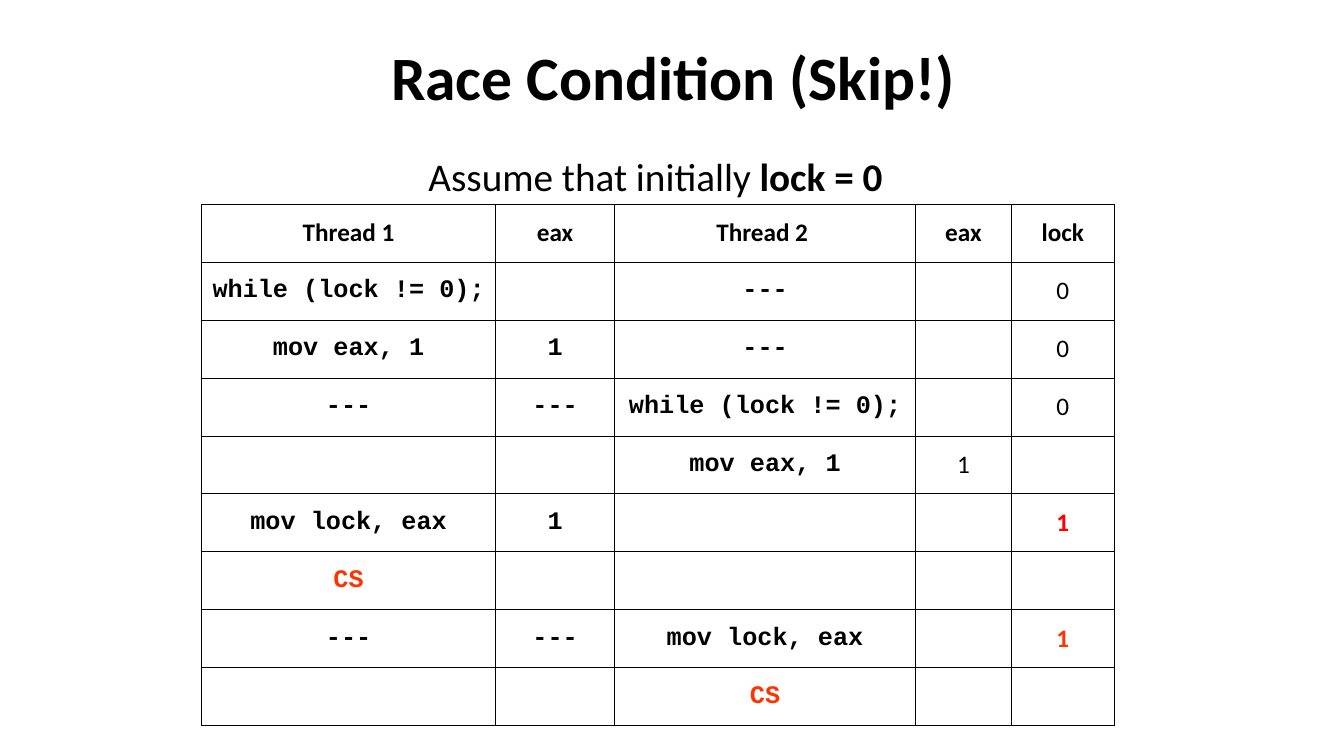
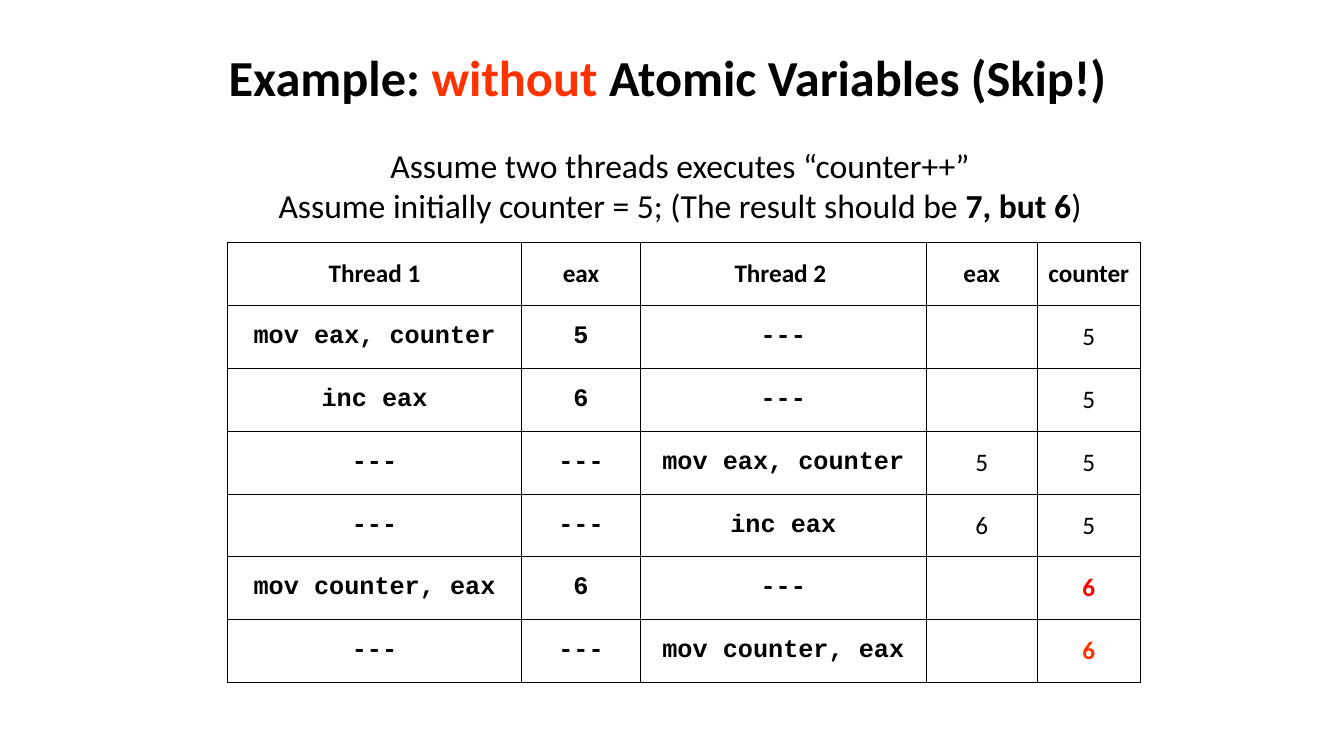
"""Build two slides that trace thread interleavings step by step in tables."""
import dataclasses

import lxml.etree
import pptx
import pptx.dml.color
import pptx.enum.text
import pptx.oxml.ns
import pptx.util

Pt = pptx.util.Pt
CENTER = pptx.enum.text.PP_ALIGN.CENTER
LEFT = pptx.enum.text.PP_ALIGN.LEFT
MIDDLE = pptx.enum.text.MSO_ANCHOR.MIDDLE


@dataclasses.dataclass(frozen=True)
class Theme:
    ink: str = "000000"
    red: str = "FF0000"
    orange: str = "FF3300"
    body: str = "Calibri"
    code: str = "Courier New"
    cell_size: int = 18
    border: float = 0.75


T = Theme()


def write(p, runs, size, font=T.body, bold=False, align=CENTER):
    """Fill a paragraph from (text, overrides) runs."""
    p.alignment = align
    p.font.name, p.font.size, p.font.bold = font, Pt(size), bold
    p.font.color.rgb = pptx.dml.color.RGBColor.from_string(T.ink)
    for text, style in runs:
        r = p.add_run()
        r.text = text
        if "bold" in style:
            r.font.bold = style["bold"]
        if "color" in style:
            r.font.color.rgb = pptx.dml.color.RGBColor.from_string(style["color"])


def add_borders(cell):
    """Draw a thin line on all four sides of a table cell."""
    tcPr = cell._tc.get_or_add_tcPr()
    for side in ("a:lnL", "a:lnR", "a:lnT", "a:lnB"):
        ln = lxml.etree.SubElement(tcPr, pptx.oxml.ns.qn(side), w=str(Pt(T.border)))
        fill = lxml.etree.SubElement(ln, pptx.oxml.ns.qn("a:solidFill"))
        lxml.etree.SubElement(fill, pptx.oxml.ns.qn("a:srgbClr"), val=T.ink)


slides = [
    {
        "title": [("Race Condition (Skip!)", {})],
        "title_size": 44,
        "caption": [[("Assume that initially ", {}), ("lock = 0", {"bold": True})]],
        "caption_size": 28,
        "caption_box": (299, 105, 343, 41),
        "caption_align": LEFT,
        "caption_wrap": False,
        "table_at": (144, 146),
        "columns": (210, 85, 215, 68.5, 73.5),
        "row_height": 41.36,
        "rows": [
            ["Thread 1", "eax", "Thread 2 ", "eax", "lock"],
            ["while (lock != 0);", "", "---", "", "0"],
            ["mov eax, 1", "1", "---", "", "0"],
            ["---", "---", "while (lock != 0);", "", "0"],
            ["", "", "mov eax, 1", "1", ""],
            ["mov lock, eax", "1", "", "", "1"],
            ["CS", "", "", "", ""],
            ["---", "---", "mov lock, eax", "", "1"],
            ["", "", "CS", "", ""],
        ],
        "accents": {(5, 4): T.red, (6, 0): T.orange, (7, 4): T.orange, (8, 2): T.orange},
    },
    {
        "title": [("Example: ", {}), ("without", {"color": T.orange}),
                  (" Atomic Variables (Skip!) ", {})],
        "title_size": 36,
        "caption": [
            [("Assume two threads executes “counter++”", {})],
            [("Assume initially counter = 5; (The result should be ", {}),
             ("7, but 6", {"bold": True}), (")", {})],
        ],
        "caption_size": 24,
        "caption_box": (173, 100, 625.5, 65.5),
        "caption_align": CENTER,
        "caption_wrap": True,
        "table_at": (162.5, 173.5),
        "columns": (210, 85, 204, 79.5, 73.5),
        "row_height": 44.86,
        "rows": [
            ["Thread 1", "eax", "Thread 2 ", "eax", "counter"],
            ["mov eax, counter", "5", "---", "", "5"],
            ["inc eax", "6", "---", "", "5"],
            ["---", "---", "mov eax, counter", "5", "5"],
            ["---", "---", "inc eax", "6", "5"],
            ["mov counter, eax", "6", "---", "", "6"],
            ["---", "---", "mov counter, eax", "", "6"],
        ],
        "accents": {(5, 4): T.red, (6, 4): T.orange},
    },
]

prs = pptx.Presentation()
prs.slide_width, prs.slide_height = Pt(960), Pt(540)

for data in slides:
    s = prs.slides.add_slide(prs.slide_layouts[6])

    tf = s.shapes.add_textbox(Pt(49), Pt(9.5), Pt(864), Pt(90)).text_frame
    tf.word_wrap = True
    tf.vertical_anchor = MIDDLE
    write(tf.paragraphs[0], data["title"], data["title_size"], bold=True)

    columns, rows = data["columns"], data["rows"]
    left, top = data["table_at"]
    height = data["row_height"]
    table = s.shapes.add_table(len(rows), len(columns), Pt(left), Pt(top),
                               Pt(sum(columns)), Pt(height * len(rows))).table
    table.first_row = table.horz_banding = False
    for column, width in zip(table.columns, columns):
        column.width = Pt(width)
    for i, row in enumerate(rows):
        table.rows[i].height = Pt(height)
        for j, text in enumerate(row):
            cell = table.cell(i, j)
            add_borders(cell)
            cell.fill.background()
            cell.vertical_anchor = MIDDLE
            is_code = i > 0 and j < 3
            accent = data["accents"].get((i, j))
            style = {"color": accent} if accent else {}
            write(cell.text_frame.paragraphs[0], [(text, style)] if text else [],
                  T.cell_size, T.code if is_code else T.body,
                  bold=i == 0 or is_code or accent is not None)

    tf = s.shapes.add_textbox(*map(Pt, data["caption_box"])).text_frame
    tf.word_wrap = data["caption_wrap"]
    for k, runs in enumerate(data["caption"]):
        p = tf.add_paragraph() if k else tf.paragraphs[0]
        write(p, runs, data["caption_size"], align=data["caption_align"])

prs.save("out.pptx")
